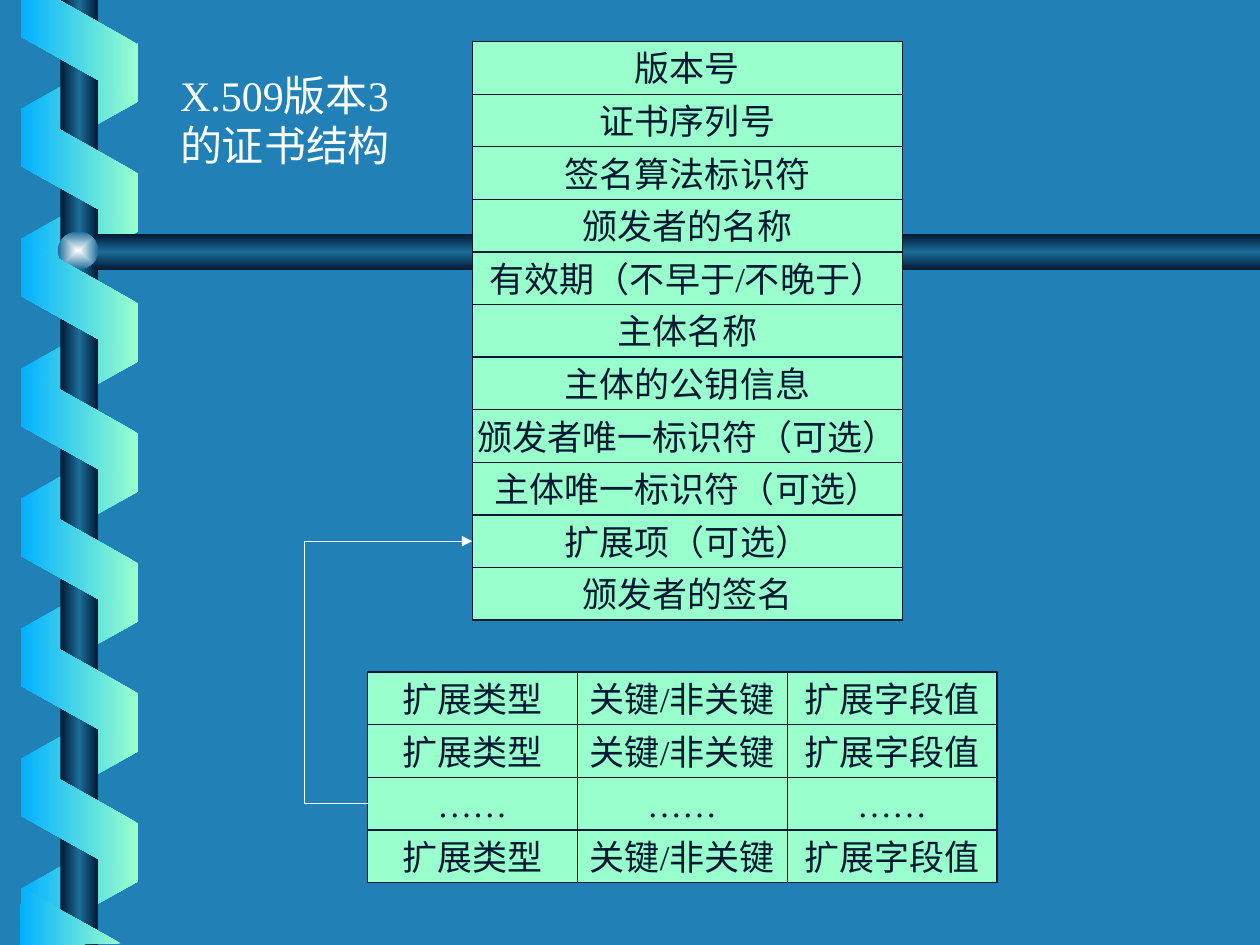
"""Build the slide on the certificate structure of X.509 version 3."""
from lxml import etree
from pptx import Presentation
from pptx.dml.color import RGBColor
from pptx.enum.shapes import MSO_CONNECTOR, MSO_SHAPE
from pptx.enum.text import MSO_ANCHOR, PP_ALIGN
from pptx.oxml import parse_xml
from pptx.oxml.ns import nsdecls, qn
from pptx.util import Cm, Pt

RECTANGLE, OVAL, PARALLELOGRAM = MSO_SHAPE.RECTANGLE, MSO_SHAPE.OVAL, MSO_SHAPE.PARALLELOGRAM
STRAIGHT = MSO_CONNECTOR.STRAIGHT
MIDDLE, TOP = MSO_ANCHOR.MIDDLE, MSO_ANCHOR.TOP
CENTER, LEFT = PP_ALIGN.CENTER, PP_ALIGN.LEFT
LEFT_SIDE = 1

COLORS = {
    "background": "2181B7", "mint": "99FFCC", "sky": "01B0FF", "navy": "001932",
    "steel": "1C6D9A", "pearl": "FEFFFF", "white": "FFFFFF",
}
TUBE = ((0, "navy"), (50, "steel"), (100, "navy"))
BACK_RIBBON = ((0, "sky"), (100, "mint"))
FRONT_RIBBON = ((0, "mint"), (100, "sky"))
KNOB = ((0, "pearl"), (100, "steel"))

FIELDS = (
    "版本号", "证书序列号", "签名算法标识符", "颁发者的名称", "有效期（不早于/不晚于）",
    "主体名称", "主体的公钥信息", "颁发者唯一标识符（可选）", "主体唯一标识符（可选）",
    "扩展项（可选）", "颁发者的签名",
)
EXTENSION = ("扩展类型", "关键/非关键", "扩展字段值")
EXTENSION_ROWS = (EXTENSION, EXTENSION, ("……",) * 3, EXTENSION)
ROW_HEIGHT = 1.06
RIBBON_STEP = 2.62


def color(name):
    return RGBColor.from_string(COLORS[name])


def write(frame, text, size=20, ink="navy", align=CENTER, anchor=MIDDLE, wrap=False):
    frame.word_wrap = wrap
    frame.vertical_anchor = anchor
    para = frame.paragraphs[0]
    para.alignment = align
    span = para.add_run()
    span.text = text
    span.font.name = "Times New Roman"
    span.font.size = Pt(size)
    span.font.color.rgb = color(ink)


class SlidePainter:
    def __init__(self, slide):
        self.slide = slide
        self.shapes = slide.shapes
        self.line_width = Pt(0.75)
        slide.background.fill.solid()
        slide.background.fill.fore_color.rgb = color("background")

    def shade(self, shape, stops, angle=180):
        shape.shadow.inherit = False
        shape.line.fill.background()
        marks = "".join(
            f'<a:gs pos="{place * 1000}"><a:srgbClr val="{COLORS[name]}"/></a:gs>'
            for place, name in stops
        )
        if angle is None:
            course = ('<a:path path="rect"><a:fillToRect l="50000" t="50000" '
                      'r="50000" b="50000"/></a:path>')
        else:
            course = f'<a:lin ang="{angle * 60000}" scaled="0"/>'
        gradient = parse_xml(
            f'<a:gradFill {nsdecls("a")} rotWithShape="0">'
            f'<a:gsLst>{marks}</a:gsLst>{course}</a:gradFill>'
        )
        shape._element.spPr.find(qn("a:prstGeom" if shape.is_preset else "a:custGeom")).addnext(
            gradient) if hasattr(shape, "is_preset") else shape.line._get_or_add_ln().addprevious(gradient)

    def preset(self, kind, left, top, width, height, stops, angle=180):
        shape = self.shapes.add_shape(kind, Cm(left), Cm(top), Cm(width), Cm(height))
        self.shade(shape, stops, angle)
        return shape

    def outline(self, points, stops, angle=180):
        corners = [(Cm(x), Cm(y)) for x, y in points]
        builder = self.shapes.build_freeform(*corners[0])
        builder.add_line_segments(corners[1:], close=True)
        self.shade(builder.convert_to_shape(), stops, angle)

    def ribbon(self, top, stops, rotation, flipped=False):
        shape = self.preset(PARALLELOGRAM, 0.36, top, 2.49, 2.36, stops)
        shape.adjustments[0] = 0.56
        shape.rotation = rotation
        if flipped:
            shape._element.spPr.find(qn("a:xfrm")).set("flipH", "1")

    def cell(self, text, left, top, width):
        box = self.shapes.add_shape(RECTANGLE, Cm(left), Cm(top), Cm(width), Cm(ROW_HEIGHT))
        box.shadow.inherit = False
        box.fill.solid()
        box.fill.fore_color.rgb = color("mint")
        box.line.color.rgb = color("navy")
        box.line.width = self.line_width
        write(box.text_frame, text)
        return box

    def grid(self, rows, left, top, width):
        return [
            [self.cell(text, left + column * width, top + row * ROW_HEIGHT, width)
             for column, text in enumerate(texts)]
            for row, texts in enumerate(rows)
        ]

    def line(self, start, end, target=None, arrow=False):
        link = self.shapes.add_connector(STRAIGHT, *start, *end)
        link.line.color.rgb = color("white")
        link.line.width = self.line_width
        if arrow:
            tail = etree.SubElement(link.line._get_or_add_ln(), qn("a:tailEnd"))
            tail.set("type", "triangle")
        etree.SubElement(link._element.spPr, qn("a:effectLst"))
        if target is not None:
            link.end_connect(target, LEFT_SIDE)

    def label(self, text, left, top, width, height, **style):
        box = self.shapes.add_textbox(Cm(left), Cm(top), Cm(width), Cm(height))
        write(box.text_frame, text, **style)


def left_middle(box):
    return box.left, box.top + box.height // 2


def main():
    deck = Presentation()
    deck.slide_width, deck.slide_height = Cm(25.4), Cm(19.05)
    painter = SlidePainter(deck.slides.add_slide(deck.slide_layouts[6]))

    for turn in range(7):
        painter.ribbon(0.94 + turn * RIBBON_STEP, BACK_RIBBON, 90, flipped=True)
    painter.preset(RECTANGLE, 1.22, 0, 0.76, 19.05, TUBE)
    painter.outline(
        ((25.4, 4.72), (1.93, 4.72), (1.52, 5.08), (1.93, 5.44), (25.4, 5.44)), TUBE, 90)
    painter.preset(OVAL, 1.17, 4.67, 0.81, 0.76, KNOB, None)
    for turn in range(6):
        painter.ribbon(2.24 + turn * RIBBON_STEP, FRONT_RIBBON, 270)
    painter.outline(
        ((0.43, 0), (0.43, 0.74), (2.77, 2.06), (2.77, 0.89), (1.19, 0)), FRONT_RIBBON)
    painter.outline(((2.44, 19.02), (0.43, 17.91), (0.41, 19.05)), FRONT_RIBBON)

    fields = painter.grid([(field,) for field in FIELDS], 9.52, 0.84, 8.68)
    extensions = painter.grid(EXTENSION_ROWS, 7.41, 13.55, 4.23)

    optional, omitted = fields[9][0], extensions[2][0]
    upper, lower = ((Cm(6.14), left_middle(box)[1]) for box in (optional, omitted))
    painter.line(upper, left_middle(optional), target=optional, arrow=True)
    painter.line(upper, lower)
    painter.line(lower, left_middle(omitted), target=omitted)
    painter.label("X.509版本3的证书结构", 3.38, 1.27, 5.51, 2.29,
                  size=24, ink="white", align=LEFT, anchor=TOP, wrap=True)

    deck.save("out.pptx")


if __name__ == "__main__":
    main()
